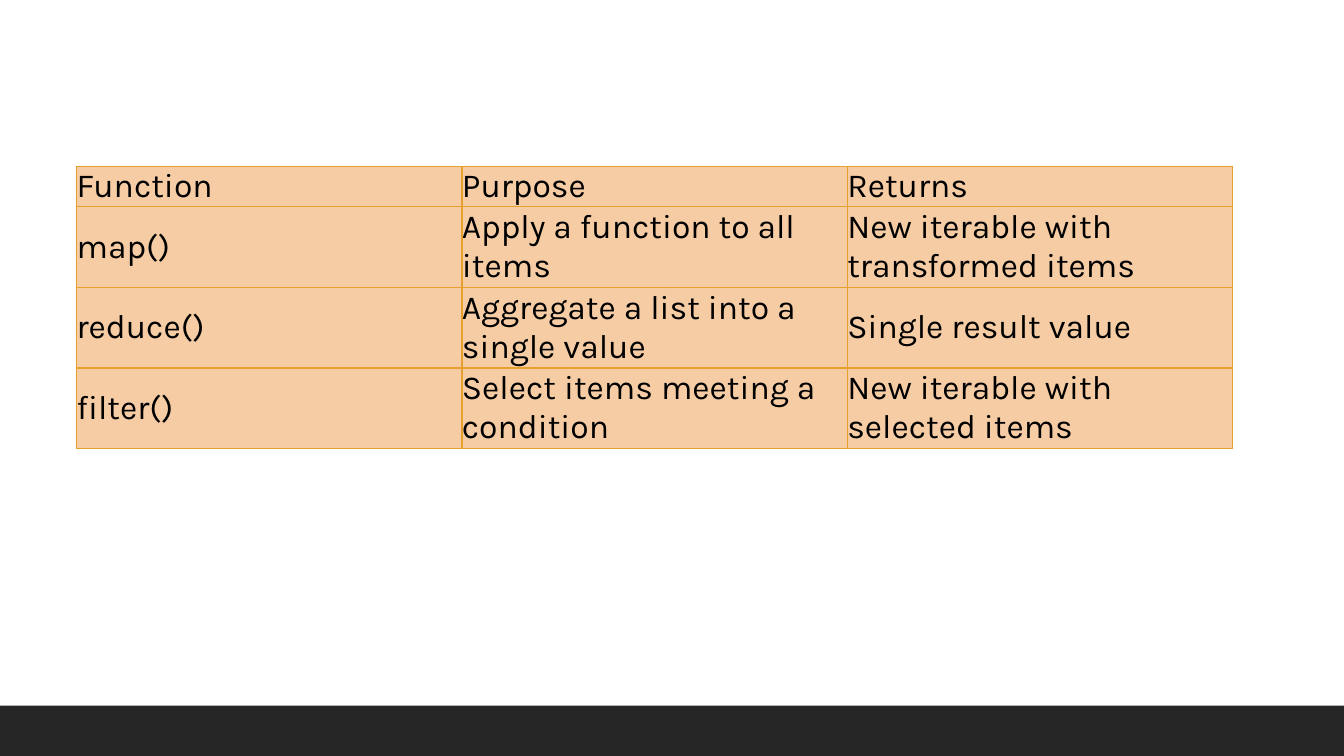
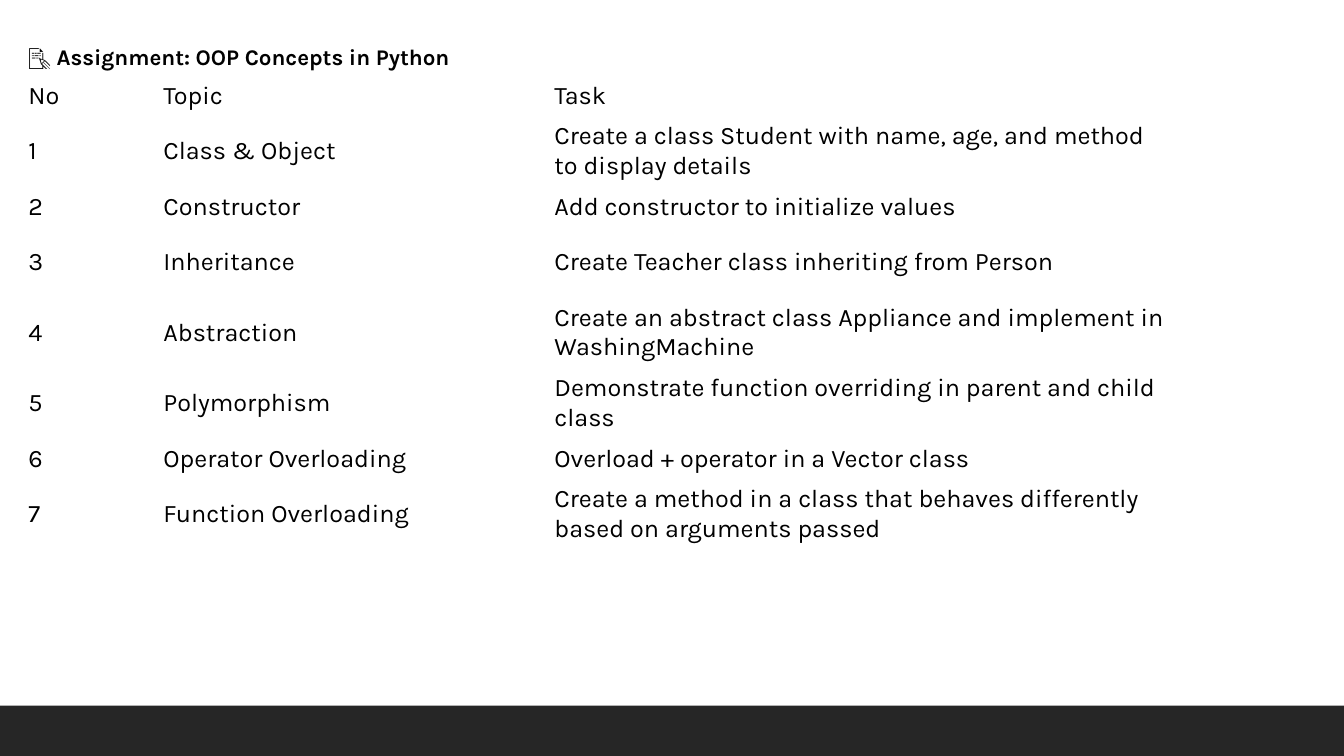
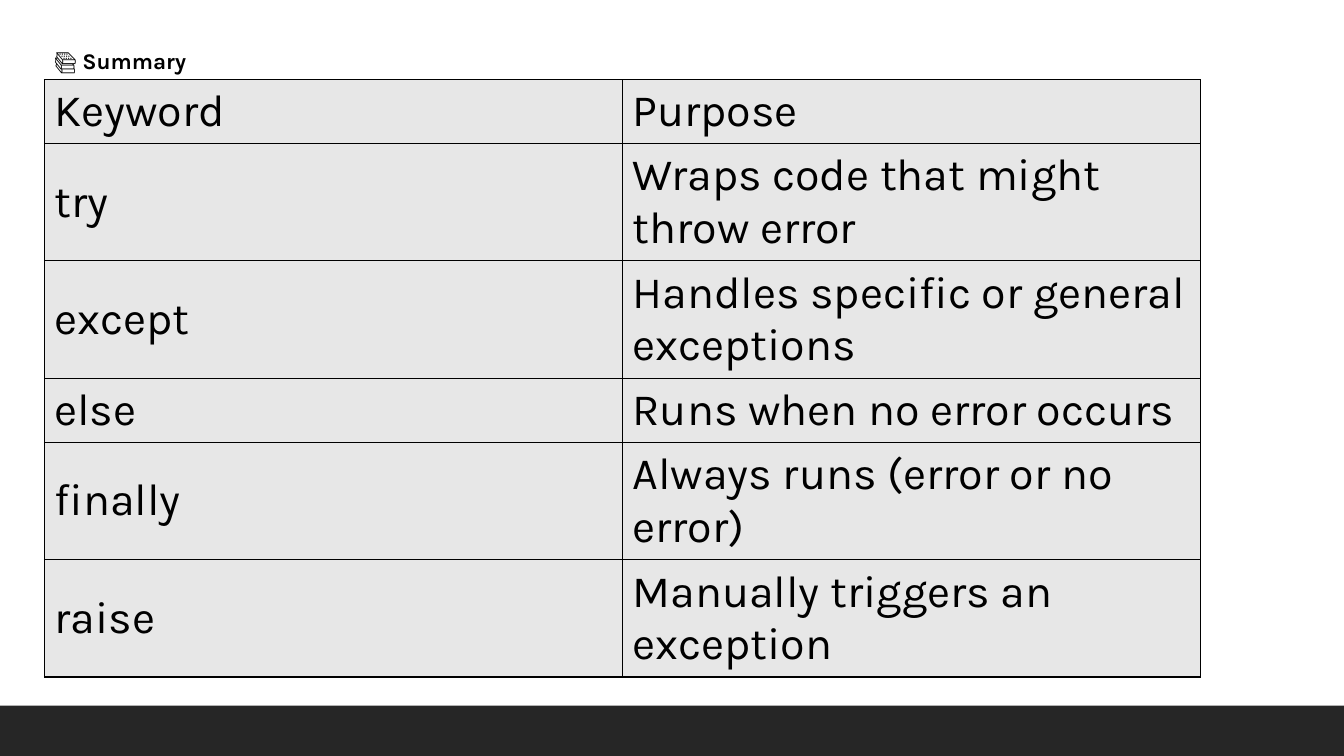
from dataclasses import dataclass
from typing import Optional

from lxml.etree import SubElement
from pptx import Presentation
from pptx.dml.color import RGBColor
from pptx.enum.shapes import MSO_SHAPE as Preset
from pptx.enum.text import MSO_ANCHOR as Anchor, MSO_AUTO_SIZE as AutoSize, PP_ALIGN as Align
from pptx.oxml.ns import qn
from pptx.util import Pt

# Shared look
FONT = "Karla"
INK = "000000"
BAND = "262626"
SLIDE_W, SLIDE_H, BAND_H = 960, 540, 36
HEADING_W, HEADING_H, HEADING_SIZE = 400, 26.6, 16
TABLE_W = 825.8
TITLE_ONLY, BLANK = 5, 6


@dataclass
class Grid:
    """A table: place, look and wording, with lengths in points."""
    left: float
    top: float
    columns: list[float]
    heights: list[float]
    size: float
    rows: list[tuple[str, ...]]
    fill: Optional[str] = None
    border: Optional[str] = None
    inset: Optional[float] = None


@dataclass
class Page:
    grid: Grid
    heading: Optional[str] = None


def color(value: str) -> RGBColor:
    return RGBColor.from_string(value)


def style_text(frame, size: float, bold: bool = False) -> None:
    for paragraph in frame.paragraphs:
        paragraph.alignment = Align.LEFT
        for run in paragraph.runs:
            run.font.name = FONT
            run.font.size = Pt(size)
            run.font.bold = bold
            run.font.color.rgb = color(INK)


def add_master_band(prs, slide) -> None:
    """Draw the bottom band and move it to the master, behind everything."""
    band = slide.shapes.add_shape(
        Preset.RECTANGLE, Pt(0), Pt(SLIDE_H - BAND_H), Pt(SLIDE_W), Pt(BAND_H))
    band.shadow.inherit = False
    band.fill.solid()
    band.fill.fore_color.rgb = color(BAND)
    band.line.fill.background()
    band.element.nvSpPr.cNvPr.set("id", "20")
    prs.slide_master.shapes.element.insert(2, band.element)


def add_heading(slide, text: str, grid: Grid) -> None:
    """Place the title directly above the table."""
    heading = slide.shapes.title
    heading.left, heading.top = Pt(grid.left), Pt(grid.top - HEADING_H)
    heading.width, heading.height = Pt(HEADING_W), Pt(HEADING_H)
    frame = heading.text_frame
    frame.text = text
    frame.word_wrap = True
    frame.auto_size = AutoSize.NONE
    frame.vertical_anchor = Anchor.TOP
    style_text(frame, HEADING_SIZE, bold=True)


def add_borders(cell, line_color: str) -> None:
    properties = cell._tc.get_or_add_tcPr()
    for side in ("a:lnL", "a:lnR", "a:lnT", "a:lnB"):
        line = SubElement(properties, qn(side), w=str(Pt(1)))
        solid = SubElement(line, qn("a:solidFill"))
        SubElement(solid, qn("a:srgbClr"), val=line_color)


def style_cell(cell, text: str, grid: Grid) -> None:
    cell.text_frame.text = text
    style_text(cell.text_frame, grid.size)
    cell.vertical_anchor = Anchor.MIDDLE
    if grid.inset is not None:
        cell.margin_left = cell.margin_right = Pt(grid.inset)
        cell.margin_top = cell.margin_bottom = Pt(grid.inset)
    if grid.border:
        add_borders(cell, grid.border)
    if grid.fill:
        cell.fill.solid()
        cell.fill.fore_color.rgb = color(grid.fill)
    else:
        cell.fill.background()


def add_grid(slide, grid: Grid) -> None:
    table = slide.shapes.add_table(
        len(grid.rows), len(grid.columns), Pt(grid.left), Pt(grid.top),
        Pt(sum(grid.columns)), Pt(sum(grid.heights))).table
    table.first_row = table.horz_banding = False
    for column, width in zip(table.columns, grid.columns):
        column.width = Pt(width)
    for row, height, texts in zip(table.rows, grid.heights, grid.rows):
        row.height = Pt(height)
        for cell, text in zip(row.cells, texts):
            style_cell(cell, text, grid)


# Functional tools
FUNCTIONS = Page(Grid(
    54.7, 118.8, [TABLE_W / 3] * 3, [28.8] + [57.6] * 3, 24,
    [
        ("Function", "Purpose", "Returns"),
        ("map()", "Apply a function to all items", "New iterable with transformed items"),
        ("reduce()", "Aggregate a list into a single value", "Single result value"),
        ("filter()", "Select items meeting a condition", "New iterable with selected items"),
    ],
    fill="F6CCA5", border="E6A02E", inset=0))

# Assignment list
ASSIGNMENT = Page(Grid(
    13, 54, [96.5, 279.3, 450], [28.8, 50.4, 28.8, 50.4, 50.4, 50.4, 28.8, 50.4], 18,
    [
        ("No", "Topic", "Task"),
        ("1", "Class & Object",
         "Create a class Student with name, age, and method to display details"),
        ("2", "Constructor", "Add constructor to initialize values"),
        ("3", "Inheritance", "Create Teacher class inheriting from Person"),
        ("4", "Abstraction",
         "Create an abstract class Appliance and implement in WashingMachine"),
        ("5", "Polymorphism", "Demonstrate function overriding in parent and child class"),
        ("6", "Operator Overloading", "Overload + operator in a Vector class"),
        ("7", "Function Overloading",
         "Create a method in a class that behaves differently based on arguments passed"),
    ]),
    heading="📝 Assignment: OOP Concepts in Python")

# Exception keywords
SUMMARY = Page(Grid(
    31.7, 56.9, [TABLE_W / 2] * 2, [45.6, 83.9, 83.9, 45.6, 83.9, 83.9], 32,
    [
        ("Keyword", "Purpose"),
        ("try", "Wraps code that might throw error"),
        ("except", "Handles specific or general exceptions"),
        ("else", "Runs when no error occurs"),
        ("finally", "Always runs (error or no error)"),
        ("raise", "Manually triggers an exception"),
    ],
    fill="E7E7E7", border="000000"),
    heading="📚 Summary")


def main() -> None:
    prs = Presentation()
    prs.slide_width, prs.slide_height = Pt(SLIDE_W), Pt(SLIDE_H)
    for page in (FUNCTIONS, ASSIGNMENT, SUMMARY):
        layout = prs.slide_layouts[TITLE_ONLY if page.heading else BLANK]
        slide = prs.slides.add_slide(layout)
        if page.heading:
            add_heading(slide, page.heading, page.grid)
        add_grid(slide, page.grid)
    add_master_band(prs, prs.slides[0])
    prs.save("out.pptx")


if __name__ == "__main__":
    main()
